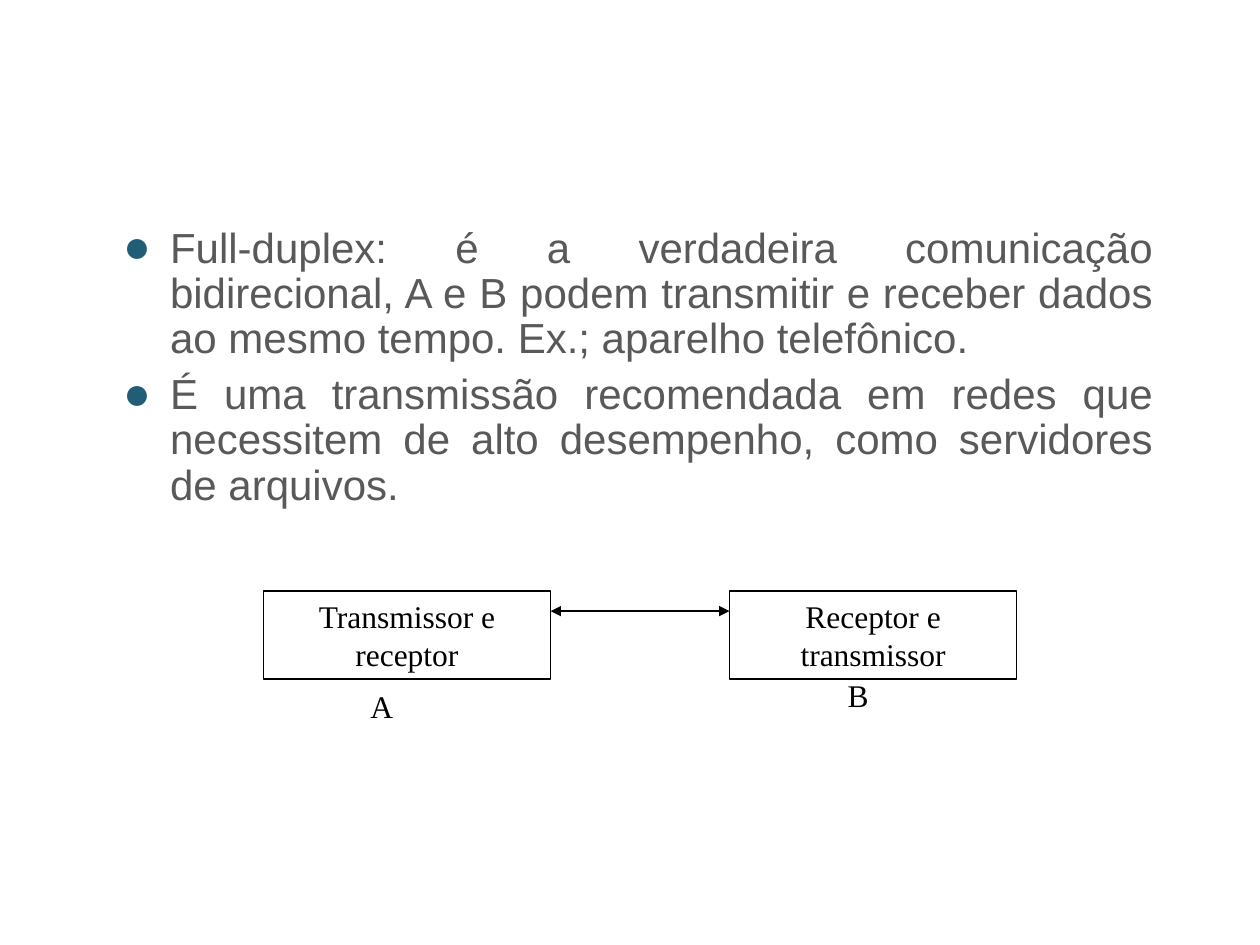
from lxml.etree import SubElement
from pptx import Presentation
from pptx.dml.color import RGBColor
from pptx.enum.shapes import MSO_CONNECTOR, MSO_SHAPE
from pptx.enum.text import MSO_ANCHOR, MSO_AUTO_SIZE, PP_ALIGN
from pptx.oxml.ns import qn
from pptx.util import Inches, Pt

COLORS = {"text": "595959", "bullet": "215D77", "ink": "000000"}
BODY_FONT = {"name": "Arial", "size": Pt(24)}
LABEL_FONT = {"name": "Times New Roman", "size": Pt(18)}
BODY_PARA = {"level": 1, "alignment": PP_ALIGN.JUSTIFY,
             "line_spacing": 0.9, "space_before": Pt(6)}
LABEL_PARA = {"alignment": PP_ALIGN.CENTER, "space_before": Pt(11.2)}
BODY_FRAME = {"word_wrap": True, "auto_size": MSO_AUTO_SIZE.NONE,
              "vertical_anchor": MSO_ANCHOR.TOP}
LABEL_FRAME = BODY_FRAME | {"auto_size": MSO_AUTO_SIZE.SHAPE_TO_FIT_TEXT}

ITEMS = [
    "Full-duplex: é a verdadeira comunicação bidirecional, A e B podem "
    "transmitir e receber dados ao mesmo tempo. Ex.; aparelho telefônico.",
    "É uma transmissão recomendada em redes que necessitem de alto "
    "desempenho, como servidores de arquivos.",
]
BOX_LEFT, BOX_TOP, BOX_W, BOX_H, BOX_STEP = 2.09, 4.69, 2.28, 0.7, 3.7
STATIONS = ["Transmissor e receptor", "Receptor e transmissor"]
LETTERS = [("A", 2.56, 5.4), ("B", 6.34, 5.32)]


def color(name):
    """Return the named colour."""
    return RGBColor.from_string(COLORS[name])


def apply(obj, values):
    """Set the attributes of an object from a dict."""
    for key, value in values.items():
        setattr(obj, key, value)


def write(p, text, para, font, fill):
    """Write one formatted run into a paragraph."""
    apply(p, para)
    r = p.add_run()
    r.text = text
    apply(r.font, font)
    r.font.color.rgb = color(fill)


def add_bullet(p):
    """Give a paragraph a hanging round bullet."""
    pPr = p._p.get_or_add_pPr()
    pPr.set("marL", str(Inches(0.75)))
    pPr.set("indent", str(Inches(-0.37)))
    clr = SubElement(pPr, qn("a:buClr"))
    SubElement(clr, qn("a:srgbClr"), val=COLORS["bullet"])
    SubElement(pPr, qn("a:buSzPct"), val="110000")
    SubElement(pPr, qn("a:buFont"), typeface="Arial")
    SubElement(pPr, qn("a:buChar"), char="●")


def fill_body(sp):
    """Place the body placeholder and write its list."""
    apply(sp, {"left": Inches(0.5), "top": Inches(1.75),
               "width": Inches(8.75), "height": Inches(3.48)})
    tf = sp.text_frame
    apply(tf, BODY_FRAME)
    for i, item in enumerate(ITEMS):
        p = tf.add_paragraph() if i else tf.paragraphs[0]
        write(p, item, BODY_PARA, BODY_FONT, "text")
        add_bullet(p)


def write_label(sp, text):
    """Write a centred label into a shape."""
    apply(sp.text_frame, LABEL_FRAME)
    write(sp.text_frame.paragraphs[0], text, LABEL_PARA, LABEL_FONT, "ink")


def set_line(sp):
    """Draw a thin line in the ink colour."""
    sp.line.color.rgb = color("ink")
    sp.line.width = Pt(0.75)


def add_station(shapes, text, left):
    """Add an outlined station box."""
    sp = shapes.add_shape(MSO_SHAPE.RECTANGLE, Inches(left), Inches(BOX_TOP),
                          Inches(BOX_W), Inches(BOX_H))
    sp.shadow.inherit = False
    sp.fill.background()
    set_line(sp)
    write_label(sp, text)


def add_letter(shapes, text, left, top):
    """Add the letter under a station."""
    sp = shapes.add_textbox(Inches(left), Inches(top), Inches(0.94), Inches(0.4))
    write_label(sp, text)


def add_double_arrow(shapes, x1, x2, y):
    """Add a horizontal arrow with a head at each end."""
    sp = shapes.add_connector(MSO_CONNECTOR.STRAIGHT, Inches(x1), Inches(y),
                              Inches(x2), Inches(y))
    set_line(sp)
    for tag in ("a:headEnd", "a:tailEnd"):
        SubElement(sp.line._get_or_add_ln(), qn(tag), type="triangle")
    SubElement(sp._element.spPr, qn("a:effectLst"))


def main():
    """Build the slide and save it."""
    prs = Presentation()
    prs.slide_width, prs.slide_height = Inches(10), Inches(7.5)
    s = prs.slides.add_slide(prs.slide_layouts[1])
    title = s.shapes.title._element
    title.getparent().remove(title)
    fill_body(s.placeholders[1])
    shapes = s.shapes.add_group_shape().shapes
    for i, text in enumerate(STATIONS):
        add_station(shapes, text, BOX_LEFT + i * BOX_STEP)
    for letter in LETTERS:
        add_letter(shapes, *letter)
    add_double_arrow(shapes, BOX_LEFT + BOX_W, BOX_LEFT + BOX_STEP, 4.85)
    prs.save("out.pptx")


if __name__ == "__main__":
    main()
